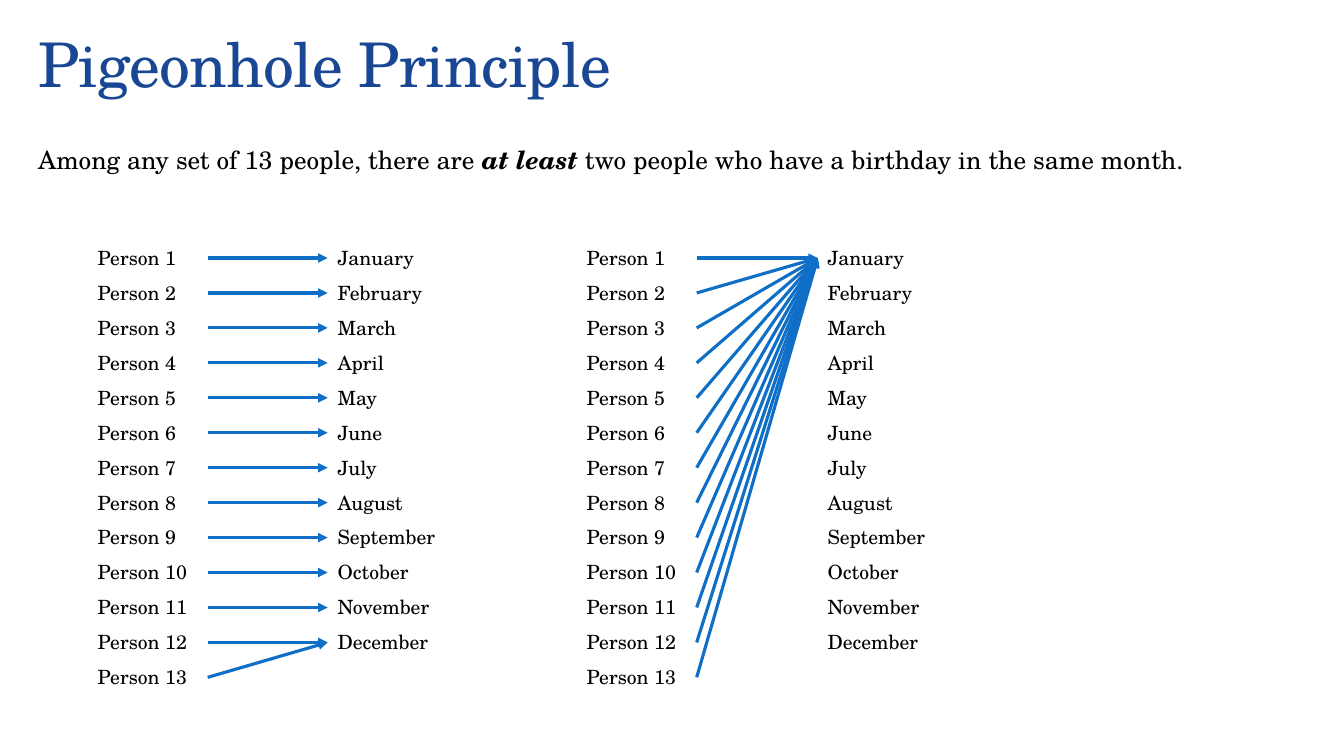
from lxml import etree
from pptx import Presentation
from pptx.dml.color import RGBColor
from pptx.enum.shapes import MSO_CONNECTOR
from pptx.enum.text import MSO_ANCHOR, MSO_AUTO_SIZE
from pptx.oxml.ns import qn
from pptx.util import Inches, Pt

LINE = MSO_CONNECTOR.STRAIGHT
BOTTOM = MSO_ANCHOR.BOTTOM
GROW = MSO_AUTO_SIZE.SHAPE_TO_FIT_TEXT
LEFT, RIGHT = 1, 3

FONT = "TeX Gyre Schola"
COLORS = {"title": "194793", "text": "000000", "arrow": "0F6FC6"}
PEOPLE = [f"Person {n}" for n in range(1, 14)]
MONTHS = ["January", "February", "March", "April", "May", "June", "July",
          "August", "September", "October", "November", "December"]
ROW = 0.34


def style(run, size, color):
    run.font.name = FONT
    run.font.size = Pt(size)
    run.font.color.rgb = RGBColor.from_string(COLORS[color])


def add_text(slide, box, parts, size, color="text"):
    shape = slide.shapes.add_textbox(*[Inches(v) for v in box])
    frame = shape.text_frame
    frame.word_wrap = True
    para = frame.paragraphs[0]
    for part in parts:
        run = para.add_run()
        run.text = part
        style(run, size, color)
    return shape


def add_title(slide, box):
    frame = add_text(slide, box, ["Pigeonhole Principle"], 44, "title").text_frame
    frame.vertical_anchor = BOTTOM
    para = frame.paragraphs[0]
    para.line_spacing = 0.9
    para.runs[0].font._element.set("spc", "-50")


def add_claim(slide, box):
    parts = ["Among any set of 13 people, there are ", "at least",
             " two people who have a birthday in the same month."]
    frame = add_text(slide, box, parts, 18).text_frame
    frame.word_wrap = False
    frame.auto_size = GROW
    font = frame.paragraphs[0].runs[1].font
    font.bold = font.italic = True


def add_column(slide, box, names):
    left, top, width, height = box
    step = (height - ROW) / (len(PEOPLE) - 1)
    cells = []
    for i, name in enumerate(names):
        cell = add_text(slide, (left, top + i * step, width, ROW), [name], 14)
        cell.text_frame.auto_size = GROW
        cells.append(cell)
    return cells


def add_arrow(slide, start, end):
    arrow = slide.shapes.add_connector(LINE, 0, 0, 0, 0)
    arrow.begin_connect(start, RIGHT)
    arrow.end_connect(end, LEFT)
    arrow.line.color.rgb = RGBColor.from_string(COLORS["arrow"])
    arrow.line.width = Pt(2.25)
    etree.SubElement(arrow.line._get_or_add_ln(), qn("a:tailEnd"), type="triangle")
    etree.SubElement(arrow._element.spPr, qn("a:effectLst"))


def add_map(slide, box, targets):
    left, top, width, height = box
    people = add_column(slide, (left, top, 1.19, height), PEOPLE)
    months = add_column(slide, (left + width - 1.27, top, 1.27, height), MONTHS)
    for person, target in zip(people, targets):
        add_arrow(slide, person, months[target])


def main():
    deck = Presentation()
    deck.slide_width = Inches(13.33)
    deck.slide_height = Inches(7.5)
    slide = deck.slides.add_slide(deck.slide_layouts[6])
    add_title(slide, (0.28, 0.25, 12.75, 0.8))
    last = len(MONTHS) - 1
    spread = [min(i, last) for i in range(len(PEOPLE))]
    add_map(slide, (0.87, 2.39, 3.65, 4.5), spread)
    add_map(slide, (5.72, 2.39, 3.66, 4.5), [0] * len(PEOPLE))
    add_claim(slide, (0.28, 1.38, 11.65, 0.4))
    deck.save("out.pptx")


if __name__ == "__main__":
    main()
